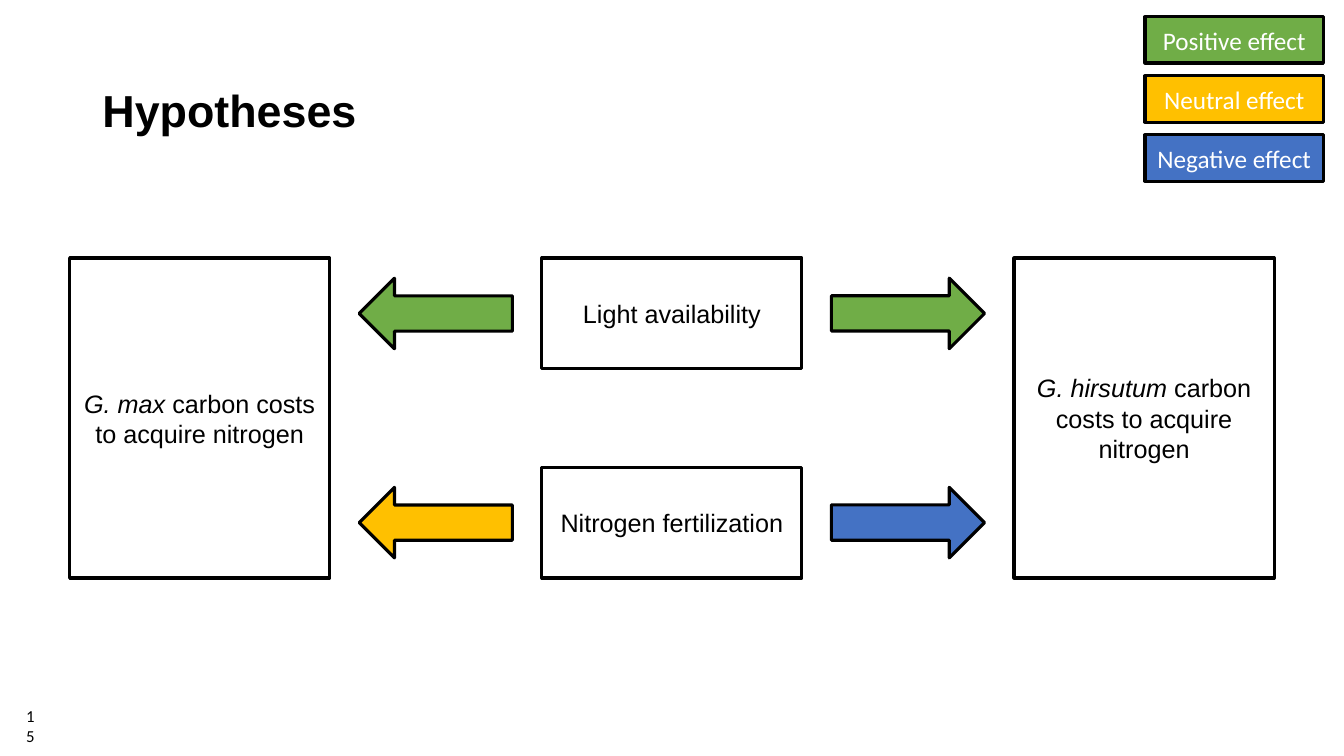
from pptx import Presentation
from pptx.dml.color import RGBColor
from pptx.enum.shapes import MSO_SHAPE
from pptx.enum.text import MSO_ANCHOR, PP_ALIGN
from pptx.util import Pt

# Content
TITLE = "Hypotheses"
SLIDE_NUMBER = "15"
EFFECTS = {  # name: (legend label, colour)
    "positive": ("Positive effect", "70AD47"),
    "neutral": ("Neutral effect", "FFC000"),
    "negative": ("Negative effect", "4472C4"),
}
OUTCOMES = [("G. max", " carbon costs to acquire nitrogen"),
            ("G. hirsutum", " carbon costs to acquire nitrogen")]
TREATMENTS = [  # label, effect on left outcome, effect on right outcome
    ("Light availability", "positive", "positive"),
    ("Nitrogen fertilization", "neutral", "negative"),
]

# Layout in points
BOX_LEFT, BOX_TOP, BOX_WIDTH, BOX_HEIGHT = 49.7, 184.3, 185.8, 79.2
COLUMN_STEP, ROW_STEP = 337.3, 149.4
ARROW_WIDTH, ARROW_HEIGHT = 109.4, 50.4
LEGEND_LEFT, LEGEND_TOP, LEGEND_STEP = 817.9, 12, 42.2
LEGEND_WIDTH, LEGEND_HEIGHT = 127.4, 33.1


def color(value):
    return RGBColor.from_string(value)


def add_outlined(slide, kind, left, top, width, height, fill=None):
    shape = slide.shapes.add_shape(kind, Pt(left), Pt(top), Pt(width), Pt(height))
    shape.shadow.inherit = False
    if fill:
        shape.fill.solid()
        shape.fill.fore_color.rgb = color(fill)
    else:
        shape.fill.background()
    shape.line.color.rgb = color("000000")
    shape.line.width = Pt(2.25)
    return shape


def style(paragraph, size, name="Arial", text_color="000000"):
    paragraph.font.size = Pt(size)
    paragraph.font.name = name
    paragraph.font.color.rgb = color(text_color)


def add_box(slide, left, top, width, height, runs, fill=None, **font):
    shape = add_outlined(slide, MSO_SHAPE.RECTANGLE, left, top, width, height, fill)
    shape.text_frame.word_wrap = True
    shape.text_frame.vertical_anchor = MSO_ANCHOR.MIDDLE
    paragraph = shape.text_frame.paragraphs[0]
    paragraph.alignment = PP_ALIGN.CENTER
    style(paragraph, 18, **font)
    for text, italic in runs:
        run = paragraph.add_run()
        run.text = text
        if italic:
            run.font.italic = True


def main():
    presentation = Presentation()
    presentation.slide_width, presentation.slide_height = Pt(960), Pt(540)
    slide = presentation.slides.add_slide(presentation.slide_layouts[5])

    # Title
    title = slide.shapes.title
    title.left, title.top, title.width, title.height = Pt(66), Pt(28.8), Pt(828), Pt(104.4)
    title.text_frame.text = TITLE
    title.text_frame.vertical_anchor = MSO_ANCHOR.MIDDLE
    paragraph = title.text_frame.paragraphs[0]
    paragraph.alignment = PP_ALIGN.LEFT
    paragraph.line_spacing = 0.9
    style(paragraph, 32)
    paragraph.font.bold = True

    # Treatments with an arrow to each outcome
    arrow_offset = BOX_WIDTH + (COLUMN_STEP - BOX_WIDTH - ARROW_WIDTH) / 2
    for row, (label, *effects) in enumerate(TREATMENTS):
        top = BOX_TOP + row * ROW_STEP
        add_box(slide, BOX_LEFT + COLUMN_STEP, top, BOX_WIDTH, BOX_HEIGHT, [(label, False)])
        for side, effect in enumerate(effects):
            arrow = add_outlined(
                slide, MSO_SHAPE.RIGHT_ARROW,
                BOX_LEFT + side * COLUMN_STEP + arrow_offset,
                top + (BOX_HEIGHT - ARROW_HEIGHT) / 2,
                ARROW_WIDTH, ARROW_HEIGHT, EFFECTS[effect][1])
            arrow.rotation = 0 if side else 180

    # Outcomes on both sides
    for side, (species, rest) in enumerate(OUTCOMES):
        add_box(slide, BOX_LEFT + side * 2 * COLUMN_STEP, BOX_TOP, BOX_WIDTH,
                ROW_STEP + BOX_HEIGHT, [(species, True), (rest, False)])

    # Legend
    for row, (label, fill) in enumerate(EFFECTS.values()):
        add_box(slide, LEGEND_LEFT, LEGEND_TOP + row * LEGEND_STEP, LEGEND_WIDTH,
                LEGEND_HEIGHT, [(label, False)], fill, name="Calibri", text_color="FFFFFF")

    # Slide number
    number = slide.shapes.add_textbox(Pt(11.5), Pt(500.4), Pt(20.9), Pt(21.6))
    number.text_frame.word_wrap = True
    number.text_frame.text = SLIDE_NUMBER
    style(number.text_frame.paragraphs[0], 12, "Calibri")

    presentation.save("out.pptx")


if __name__ == "__main__":
    main()
